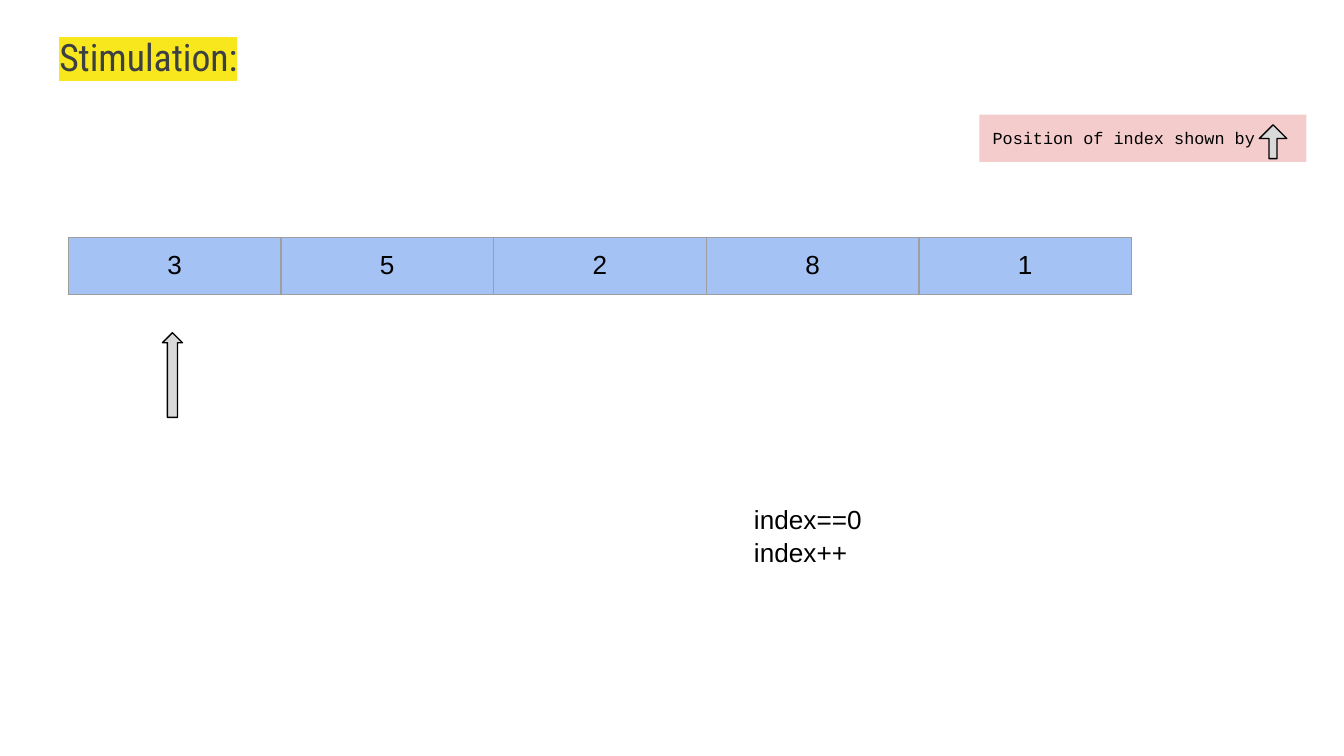
from lxml import etree
from pptx import Presentation
from pptx.dml.color import RGBColor
from pptx.enum.shapes import MSO_SHAPE
from pptx.enum.text import MSO_ANCHOR, MSO_AUTO_SIZE, PP_ALIGN
from pptx.oxml.ns import qn
from pptx.util import Cm, Pt

RECT = MSO_SHAPE.RECTANGLE
UP_ARROW = MSO_SHAPE.UP_ARROW
TOP = MSO_ANCHOR.TOP
LEFT, CENTER = PP_ALIGN.LEFT, PP_ALIGN.CENTER
NO_FIT = MSO_AUTO_SIZE.NONE
TITLE_ONLY = 5
INSET = Cm(0.25)


def rgb(color):
    return RGBColor.from_string(color)


class SlideBuilder:
    TITLE = {"name": "Roboto Condensed", "size": Pt(20.2)}
    BODY = {"name": "Arial", "size": Pt(14)}
    CODE = {"name": "Courier New", "size": Pt(9)}
    MARGINS = {
        "margin_left": INSET, "margin_right": INSET,
        "margin_top": INSET, "margin_bottom": INSET,
    }
    FRAME = {**MARGINS, "vertical_anchor": TOP, "word_wrap": True, "auto_size": NO_FIT}
    BLACK, GREY, BORDER = "000000", "D9D9D9", "9E9E9E"

    def __init__(self, prs):
        self.s = prs.slides.add_slide(prs.slide_layouts[TITLE_ONLY])

    def apply(self, target, values):
        for name, value in values.items():
            setattr(target, name, value)

    def fill_text(self, tf, lines, font, color=BLACK, align=LEFT, spacing=1.0):
        for i, line in enumerate(lines):
            p = tf.add_paragraph() if i else tf.paragraphs[0]
            self.apply(p, {"alignment": align, "line_spacing": spacing})
            r = p.add_run()
            r.text = line
            self.apply(r.font, font)
            r.font.color.rgb = rgb(color)

    def title(self, text, box, color, highlight):
        sp = self.s.shapes.title
        self.apply(sp, dict(zip(("left", "top", "width", "height"), map(Cm, box))))
        tf = sp.text_frame
        self.apply(tf, self.FRAME)
        self.fill_text(tf, [text], self.TITLE, color)
        rPr = tf.paragraphs[0].runs[0]._r.get_or_add_rPr()
        mark = etree.Element(qn("a:highlight"))
        etree.SubElement(mark, qn("a:srgbClr"), val=highlight)
        rPr.find(qn("a:solidFill")).addnext(mark)

    def text(self, lines, box, spacing):
        sp = self.s.shapes.add_textbox(*map(Cm, box))
        self.apply(sp.text_frame, self.FRAME)
        self.fill_text(sp.text_frame, lines, self.BODY, spacing=spacing)

    def shape(self, kind, box, fill):
        sp = self.s.shapes.add_shape(kind, *map(Cm, box))
        sp.shadow.inherit = False
        sp.fill.solid()
        sp.fill.fore_color.rgb = rgb(fill)
        return sp

    def label(self, text, box, fill):
        sp = self.shape(RECT, box, fill)
        sp.line.fill.background()
        self.apply(sp.text_frame, self.FRAME)
        self.fill_text(sp.text_frame, [text], self.CODE)

    def arrow(self, box, shaft=0.5):
        sp = self.shape(UP_ARROW, box, self.GREY)
        sp.line.color.rgb = rgb(self.BLACK)
        sp.line.width = Pt(0.75)
        sp.adjustments[0] = shaft
        sp.adjustments[1] = 0.5

    def border(self, cell):
        tcPr = cell._tc.get_or_add_tcPr()
        for side in ("lnL", "lnR", "lnT", "lnB"):
            ln = etree.SubElement(tcPr, qn(f"a:{side}"), w=str(int(Pt(0.75))))
            fill = etree.SubElement(ln, qn("a:solidFill"))
            etree.SubElement(fill, qn("a:srgbClr"), val=self.BORDER)

    def array(self, values, left, top, cell_width, height, fill):
        box = (left, top, cell_width * len(values), height)
        table = self.s.shapes.add_table(1, len(values), *map(Cm, box)).table
        self.apply(table, {"first_row": False, "horz_banding": False})
        for i, value in enumerate(values):
            table.columns[i].width = Cm(cell_width)
            cell = table.cell(0, i)
            self.apply(cell, self.MARGINS)
            self.border(cell)
            cell.fill.solid()
            cell.fill.fore_color.rgb = rgb(fill)
            self.fill_text(cell.text_frame, [str(value)], self.BODY, align=CENTER)


def main():
    prs = Presentation()
    prs.slide_width, prs.slide_height = Cm(25.4), Cm(14.29)
    b = SlideBuilder(prs)
    b.title("Stimulation:", (0.87, 0.39, 23.67, 1.6), "3C4043", "F8E71C")
    b.array([3, 5, 2, 8, 1], 1.29, 4.49, 4.02, 1.07, "A4C2F4")
    b.text(["index==0", "index++"], (14, 9.22, 9.1, 2.3), 1.07)
    b.arrow((3.07, 6.29, 0.38, 1.6))
    b.label("Position of index shown by", (18.51, 2.17, 6.18, 0.89), "F4CCCC")
    b.arrow((23.8, 2.36, 0.52, 0.64), 0.29)
    prs.save("out.pptx")


if __name__ == "__main__":
    main()
